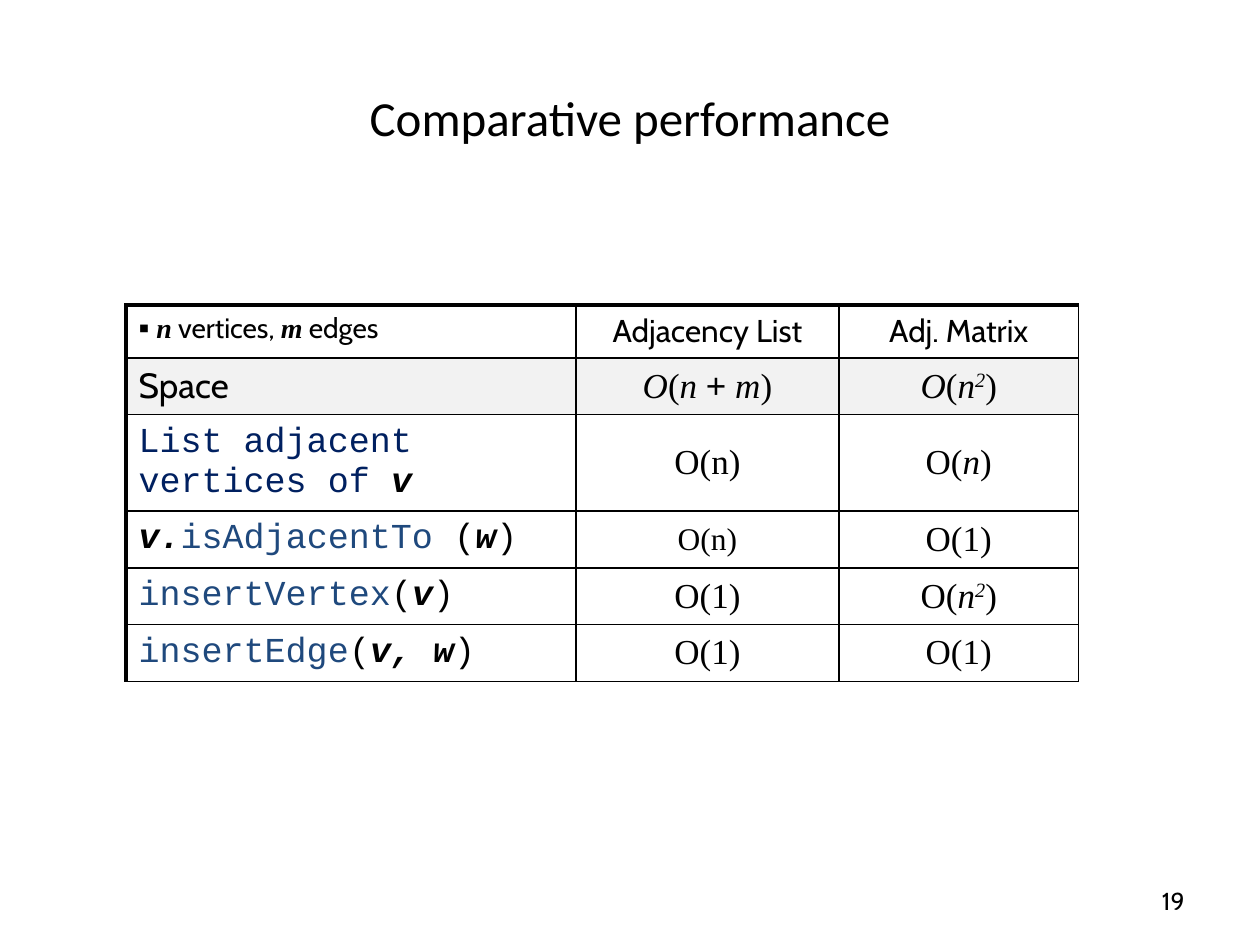
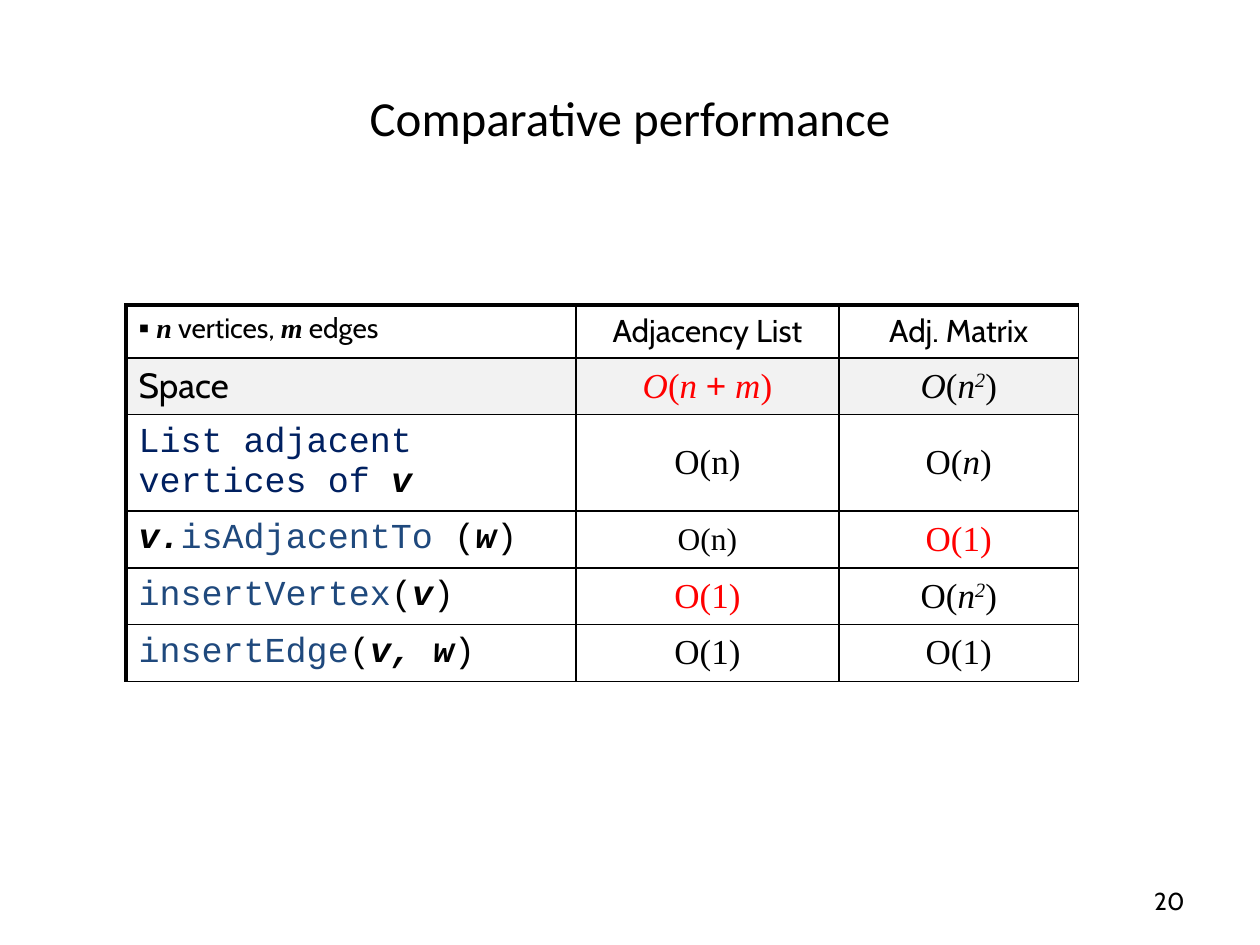
from lxml.etree import SubElement
from pptx import Presentation
from pptx.dml.color import RGBColor
from pptx.enum.text import MSO_ANCHOR, PP_ALIGN
from pptx.oxml.ns import qn
from pptx.util import Inches, Pt

HUES = {"ink": "000000", "navy": "002060", "blue": "1F497D",
        "hot": "FF0000", "band": "F2F2F2"}
CABIN, TIMES, MONO = "Cabin", "Times New Roman", "Courier New"

# Each cell is a font and its runs: text, then marks
# (b bold, i italic, s superscript) or a colour or font name
ROWS = [
    [(CABIN, [(" n", "bi", TIMES), (" vertices, ",), ("m", "bi", TIMES), (" edges",)]),
     (CABIN, [("Adjacency List",)]),
     (CABIN, [("Adj. Matrix",)])],
    [(CABIN, [("Space",)]),
     (TIMES, [("O", "i"), ("(",), ("n ", "i"), ("+", "Arial"), (" m", "i"), (")",)]),
     (TIMES, [("O", "i"), ("(",), ("n", "i"), ("2", "is"), (")",)])],
    [(MONO, [("List adjacent vertices of ", "navy"), ("v", "bi")]),
     (TIMES, [("O(n)",)]),
     (TIMES, [("O(",), ("n", "i"), (")",)])],
    [(MONO, [("v.", "bi"), ("isAdjacentTo ", "blue"), ("(",), ("w", "bi"), (")",)]),
     (TIMES, [("O(n)",)]),
     (TIMES, [("O(1)",)])],
    [(MONO, [("insertVertex", "blue"), ("(",), ("v", "bi"), (")",)]),
     (TIMES, [("O(1)",)]),
     (TIMES, [("O(",), ("n", "i"), ("2", "is"), (")",)])],
    [(MONO, [("insertEdge", "blue"), ("(",), ("v, w", "bi"), (")",)]),
     (TIMES, [("O(1)",)]),
     (TIMES, [("O(1)",)])],
]
WIDTHS = [3.57, 2.09, 1.9]
HEIGHTS = [0.42] + [0.45] * 5
SMALL = {(0, 0): 16, (0, 1): 18, (0, 2): 18, (3, 1): 18}
TIGHT = (3, 1)

# Slide number and the cells marked in red
PAGES = [(19, set()), (20, {(1, 1), (3, 2), (4, 1)})]


def write(para, font, runs, size, hue="ink"):
    for text, *marks in runs:
        run = para.add_run()
        run.text = text
        face = run.font
        face.name, face.size = font, Pt(size)
        face.bold = face.italic = False
        face.color.rgb = RGBColor.from_string(HUES[hue])
        for mark in marks:
            if mark in HUES:
                face.color.rgb = RGBColor.from_string(HUES[mark])
            elif mark in ("b", "i", "bi", "is"):
                face.bold, face.italic = "b" in mark, "i" in mark
                if "s" in mark:
                    run._r.get_or_add_rPr().set("baseline", "30000")
            else:
                face.name = mark


def label(slide, box, text, font, size, align):
    frame = slide.shapes.add_textbox(*map(Inches, box)).text_frame
    frame.word_wrap = True
    frame.vertical_anchor = MSO_ANCHOR.MIDDLE
    para = frame.paragraphs[0]
    para.alignment = align
    write(para, font, [(text,)], size)


deck = Presentation()
deck.slide_width, deck.slide_height = Inches(10), Inches(7.5)

for page, hot in PAGES:
    slide = deck.slides.add_slide(deck.slide_layouts[6])

    # Title
    label(slide, (0.5, 0.3, 9, 1.25), "Comparative performance",
          "Calibri", 28, PP_ALIGN.CENTER)

    # Table grid
    frame = slide.shapes.add_table(len(ROWS), len(WIDTHS), Inches(1), Inches(2.42),
                                   Inches(7.56), Inches(3))
    table = frame.table
    table.first_row = table.horz_banding = False
    for col, width in zip(table.columns, WIDTHS):
        col.width = Inches(width)
    for row, height in zip(table.rows, HEIGHTS):
        row.height = Inches(height)
    frame.height = Inches(3)

    # Table cells
    for r, line in enumerate(ROWS):
        for c, (font, runs) in enumerate(line):
            cell = table.cell(r, c)
            pad = 0 if (r, c) == TIGHT else 1
            cell.margin_left = cell.margin_right = Inches(0.1 * pad)
            cell.margin_top = cell.margin_bottom = Inches(0.05 * pad)
            cell.vertical_anchor = MSO_ANCHOR.MIDDLE if r or c else MSO_ANCHOR.TOP

            # Borders, heavy on the left and top edges
            props = cell._tc.get_or_add_tcPr()
            for side in "LRTB":
                thick = (side == "L" and c == 0) or (side == "T" and r == 0)
                edge = SubElement(props, qn("a:ln" + side),
                                  w=str(Pt(2.25 if thick else 1)))
                fill = SubElement(edge, qn("a:solidFill"))
                SubElement(fill, qn("a:srgbClr"), val=HUES["ink"])
            if r == 1:
                cell.fill.solid()
                cell.fill.fore_color.rgb = RGBColor.from_string(HUES["band"])
            else:
                cell.fill.background()

            # Text, spaced by a fifth of a line
            para = cell.text_frame.paragraphs[0]
            para.alignment = PP_ALIGN.CENTER if c else PP_ALIGN.LEFT
            look = para._p.get_or_add_pPr()
            space = SubElement(look, qn("a:spcBef"))
            SubElement(space, qn("a:spcPct"), val="20000")
            if r == c == 0:
                tint = SubElement(look, qn("a:buClr"))
                SubElement(tint, qn("a:srgbClr"), val=HUES["ink"])
                SubElement(look, qn("a:buSzPct"), val="110000")
                SubElement(look, qn("a:buFont"), typeface="Arial")
                SubElement(look, qn("a:buChar"), char="▪")
            write(para, font, runs, SMALL.get((r, c), 20),
                  "hot" if (r, c) in hot else "ink")

    # Slide number
    label(slide, (7.17, 6.95, 2.33, 0.4), str(page), CABIN, 14, PP_ALIGN.RIGHT)

deck.save("out.pptx")
